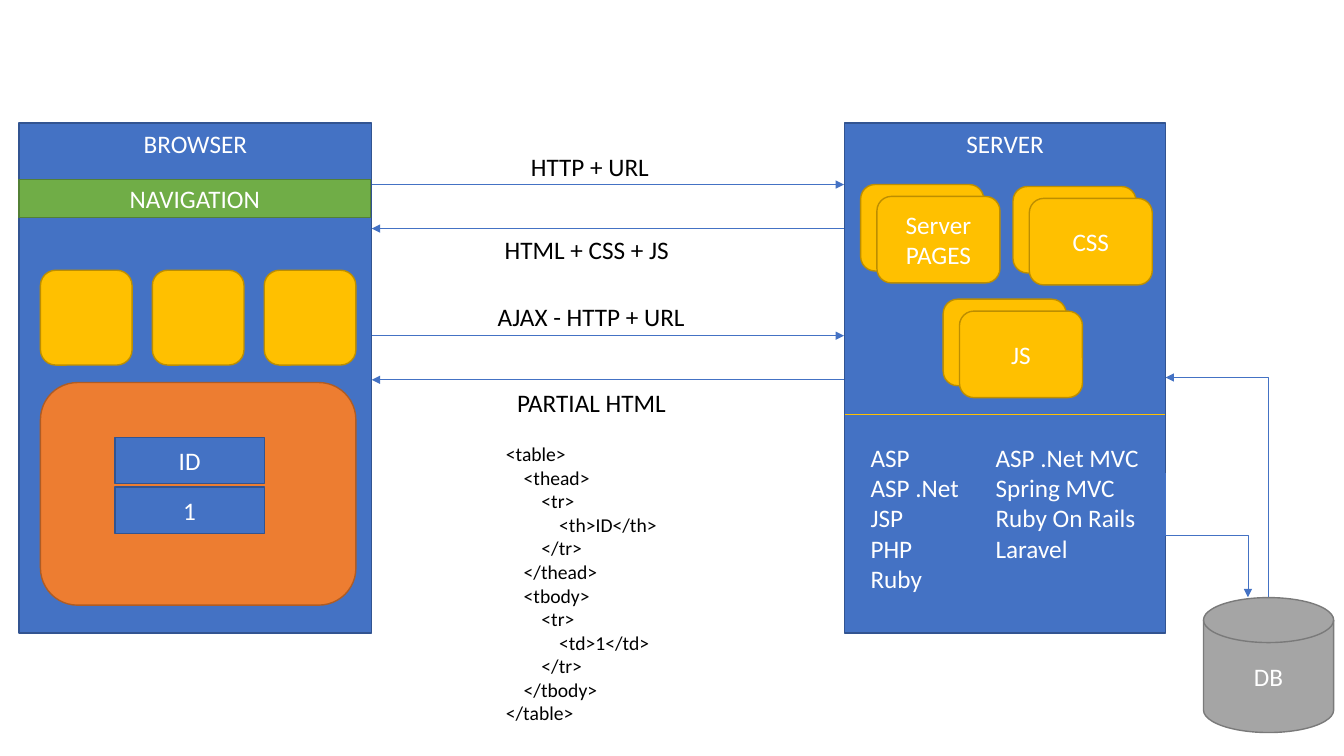
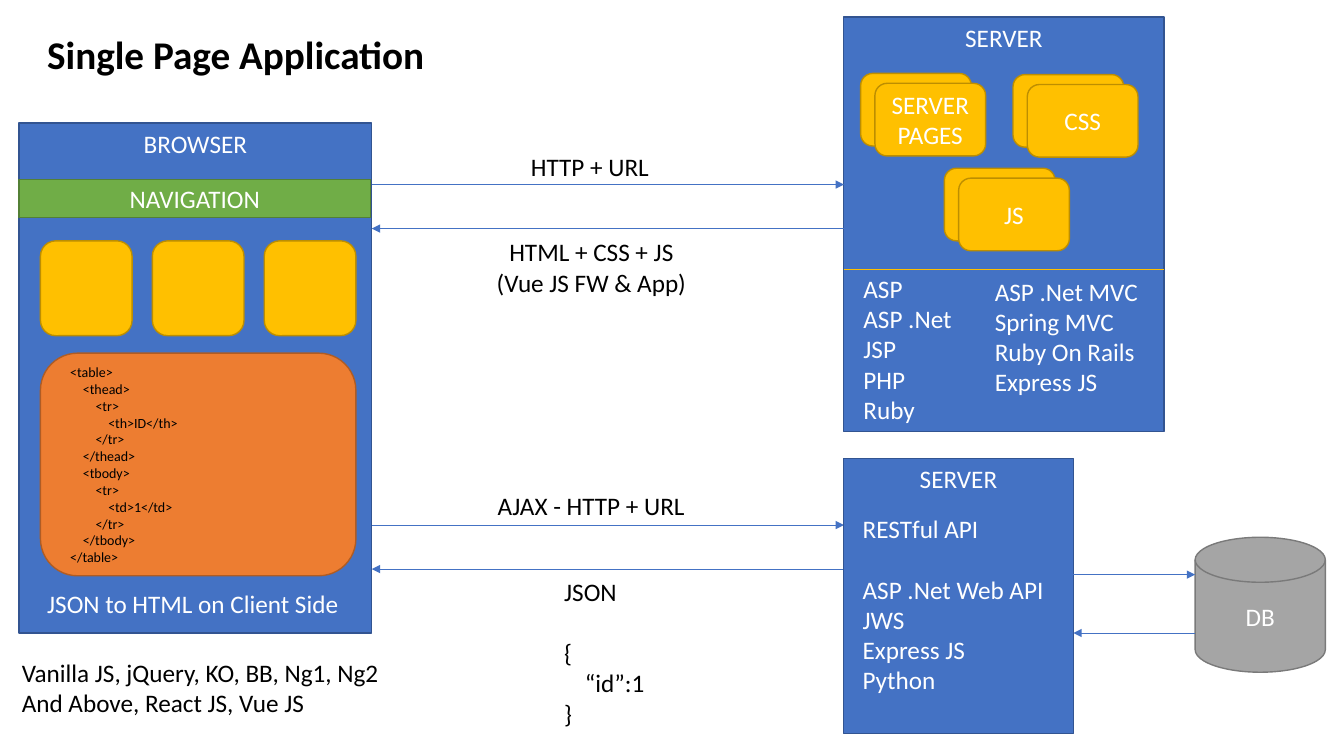
import pptx
import pptx.util
import pptx.dml.color
import pptx.enum.shapes
import pptx.enum.text
import pptx.oxml
import pptx.oxml.ns

Cm = pptx.util.Cm
Pt = pptx.util.Pt
RGB = pptx.dml.color.RGBColor
Form = pptx.enum.shapes.MSO_SHAPE
Link = pptx.enum.shapes.MSO_CONNECTOR
Side = pptx.enum.text.PP_ALIGN
Hold = pptx.enum.text.MSO_ANCHOR
Fit = pptx.enum.text.MSO_AUTO_SIZE

BLUE = RGB(0x44, 0x72, 0xC4)
NAVY = RGB(0x32, 0x54, 0x91)
GOLD = RGB(0xFF, 0xC0, 0x00)
BRONZE = RGB(0xBD, 0x8E, 0x00)
GREEN = RGB(0x70, 0xAD, 0x47)
MOSS = RGB(0x53, 0x80, 0x35)
ORANGE = RGB(0xED, 0x7D, 0x31)
RUST = RGB(0xAF, 0x5C, 0x24)
GREY = RGB(0xA5, 0xA5, 0xA5)
SLATE = RGB(0x7A, 0x7A, 0x7A)
WHITE = RGB(0xFF, 0xFF, 0xFF)
BLACK = RGB(0x00, 0x00, 0x00)

FACE = "Calibri"
LINE_GAP = 22
EDGE = 9.37
FAR = 21.27

CODE = [
    (0, "<table>"), (1, "<thead>"), (2, "<tr>"), (3, "<th>ID</th>"),
    (2, "</tr>"), (1, "</thead>"), (1, "<tbody>"), (2, "<tr>"),
    (3, "<td>1</td>"), (2, "</tr>"), (1, "</tbody>"), (0, "</table>"),
]
TOOLS = ["ASP", "ASP .Net", "JSP", "PHP", "Ruby"]
FRAMES = ["ASP .Net MVC", "Spring MVC", "Ruby On Rails"]


class Deck:
    def __init__(self):
        self.show = pptx.Presentation()
        self.show.slide_width = Cm(33.87)
        self.show.slide_height = Cm(19.05)
        self.slide = None

    def page(self):
        self.slide = self.show.slides.add_slide(self.show.slide_layouts[6])

    def letter(self, frame, lines, tint, size=18, bold=False, align=Side.LEFT):
        for row, line in enumerate(lines):
            depth, text, gap = (line + (0,))[:3] if isinstance(line, tuple) else (0, line, 0)
            para = frame.paragraphs[0] if row == 0 else frame.add_paragraph()
            para.alignment = align
            if gap:
                para.space_before = Pt(gap)
            if depth:
                para._p.get_or_add_pPr().set("marL", str(Cm(depth * size * 0.032)))
            run = para.add_run()
            run.text = text
            looks = {"name": FACE, "size": Pt(size), "bold": bold}
            for name, value in looks.items():
                setattr(run.font, name, value)
            run.font.color.rgb = tint

    def text(self, box, lines, tint=BLACK, wrap=False, **looks):
        frame = self.slide.shapes.add_textbox(*map(Cm, box)).text_frame
        for name, value in {"word_wrap": wrap, "auto_size": Fit.SHAPE_TO_FIT_TEXT}.items():
            setattr(frame, name, value)
        self.letter(frame, lines, tint, **looks)

    def block(self, box, fill, rim, label="", form=Form.RECTANGLE, hold=Hold.MIDDLE):
        shape = self.slide.shapes.add_shape(form, *map(Cm, box))
        shape.shadow.inherit = False
        shape.fill.solid()
        shape.fill.fore_color.rgb = fill
        shape.line.color.rgb = rim
        shape.line.width = Pt(1)
        if label:
            for name, value in {"word_wrap": True, "vertical_anchor": hold}.items():
                setattr(shape.text_frame, name, value)
            self.letter(shape.text_frame, [label], WHITE, align=Side.CENTER)

    def line(self, start, end, tint=BLUE, head=True, kind=Link.STRAIGHT):
        link = self.slide.shapes.add_connector(kind, *map(Cm, start + end))
        link.line.color.rgb = tint
        link.line.width = Pt(0.5)
        props = link._element.spPr
        if head:
            tip = pptx.oxml.parse_xml(
                '<a:tailEnd %s type="triangle"/>' % pptx.oxml.ns.nsdecls("a"))
            props.find(pptx.oxml.ns.qn("a:ln")).append(tip)
        props.append(
            pptx.oxml.parse_xml("<a:effectLst %s/>" % pptx.oxml.ns.nsdecls("a")))
        return link

    def bend(self, box, kind, flip):
        left, top, wide, high = box
        link = self.line((left, top), (left + wide, top + high), kind=Link.ELBOW)
        props = link._element.spPr
        frame = props.find(pptx.oxml.ns.qn("a:xfrm"))
        frame.set("rot", "16200000")
        frame.set(flip, "1")
        props.find(pptx.oxml.ns.qn("a:prstGeom")).set("prst", kind)

    def trade(self, top, left=EDGE, right=FAR, gap=1.11):
        self.line((left, top), (right, top))
        self.line((right, top + gap), (left, top + gap))

    def stack(self, spot, size, shift, label):
        for step, name in enumerate(["", label]):
            place = tuple(at + step * by for at, by in zip(spot, shift))
            self.block(place + size, GOLD, BRONZE, name, Form.ROUNDED_RECTANGLE)

    def server(self, box, rule, size, shift, stacks):
        left, top, wide, high = box
        self.block(box, BLUE, NAVY, "SERVER", hold=Hold.TOP)
        for spot, label in stacks:
            self.stack(spot, size, shift, label)
        self.line((left, rule), (left + wide, rule), GOLD, head=False)

    def lists(self, first, second, last):
        self.text(first + (2.77, 4.11), TOOLS, WHITE)
        self.text(second + (4.52, 3.33), FRAMES + [last], WHITE, wrap=True)

    def browser(self, top):
        self.block((0.48, 3.1, 8.89, 12.85), BLUE, NAVY, "BROWSER", hold=Hold.TOP)
        self.block((0.48, 4.52, 8.86, 0.97), GREEN, MOSS, "NAVIGATION")
        for col in range(3):
            self.block((1.02 + col * 2.82, top, 2.31, 2.39), GOLD, BRONZE,
                       form=Form.ROUNDED_RECTANGLE)
        self.block((1.02, top + 2.83, 7.95, 5.61), ORANGE, RUST,
                   form=Form.ROUNDED_RECTANGLE)

    def store(self, left, top):
        self.block((left, top, 3.28, 3.4), GREY, SLATE, "DB",
                   Form.FLOWCHART_MAGNETIC_DISK)

    def calls(self, ajax):
        for top in (4.65, ajax):
            self.trade(top)
        self.text((13.13, 3.68, 3.53, 1.02), ["HTTP + URL"])
        self.text((12.29, ajax - 0.99, 5.28, 1.02), ["AJAX - HTTP + URL"])


def classic(deck):
    deck.page()
    deck.server((21.29, 3.1, 8.08, 12.85), 10.44, (3.1, 2.18), (0.41, 0.3), [
        ((21.69, 4.65), "Server PAGES"),
        ((25.53, 4.7), "CSS"),
        ((23.77, 7.54), "JS"),
    ])
    deck.lists((21.69, 11.02), (24.84, 11.02), "Laravel")
    deck.bend((28.85, 12.45, 3.12, 2.08), "bentConnector3", "flipH")
    deck.bend((27.33, 11.56, 6.68, 2.59), "bentConnector2", "flipV")
    deck.store(30.33, 15.06)
    deck.browser(6.81)
    deck.calls(8.46)
    deck.text((12.47, 5.77, 4.85, 1.02), ["HTML + CSS + JS"])
    deck.text((12.78, 9.63, 4.29, 1.02), ["PARTIAL HTML"])
    deck.text((12.5, 11.02, 6.2, 7.44), CODE, wrap=True, size=14)
    for row, label in enumerate(["ID", "1"]):
        deck.block((2.9, 11.02 + row * 1.25, 3.76, 1.17), BLUE, NAVY, label)


def single(deck):
    deck.page()
    deck.server((21.26, 0.43, 8.08, 10.44), 6.78, (2.79, 1.83), (0.36, 0.25), [
        ((21.69, 1.85), "SERVER PAGES"),
        ((25.53, 1.88), "CSS"),
        ((23.8, 4.24), "JS"),
    ])
    deck.lists((21.51, 6.76), (24.82, 6.83), "Express JS")
    deck.browser(6.07)
    deck.calls(13.23)
    deck.text((12.24, 5.84, 5.33, 1.8), ["HTML + CSS + JS", "(Vue JS FW & App)"],
              align=Side.CENTER)
    deck.store(30.12, 13.54)
    deck.block((21.26, 11.56, 5.79, 6.93), BLUE, NAVY, "SERVER", hold=Hold.TOP)
    deck.trade(14.48, 27.05, 30.12, 1.47)
    deck.text((21.49, 12.8, 5.11, 4.88), [
        "RESTful API", (0, "ASP .Net Web API", LINE_GAP), "JWS", "Express JS", "Python",
    ], WHITE)
    deck.text((13.97, 14.4, 2.54, 4.11),
              ["JSON", (0, "{", LINE_GAP), (0.9, "“id”:1"), "}"])
    deck.text((1.52, 9.04, 6.2, 5.38), CODE, wrap=True, size=10)
    deck.text((0.94, 14.71, 7.95, 1.02), ["JSON to HTML on Client Side"], WHITE)
    deck.text((0.3, 16.43, 9.75, 1.8), [
        "Vanilla JS, jQuery, KO, BB, Ng1, Ng2", "And Above, React JS, Vue JS"])
    deck.text((0.94, 0.64, 10.13, 1.45), ["Single Page Application"], size=28, bold=True)


def main():
    deck = Deck()
    classic(deck)
    single(deck)
    deck.show.save("out.pptx")


if __name__ == "__main__":
    main()
